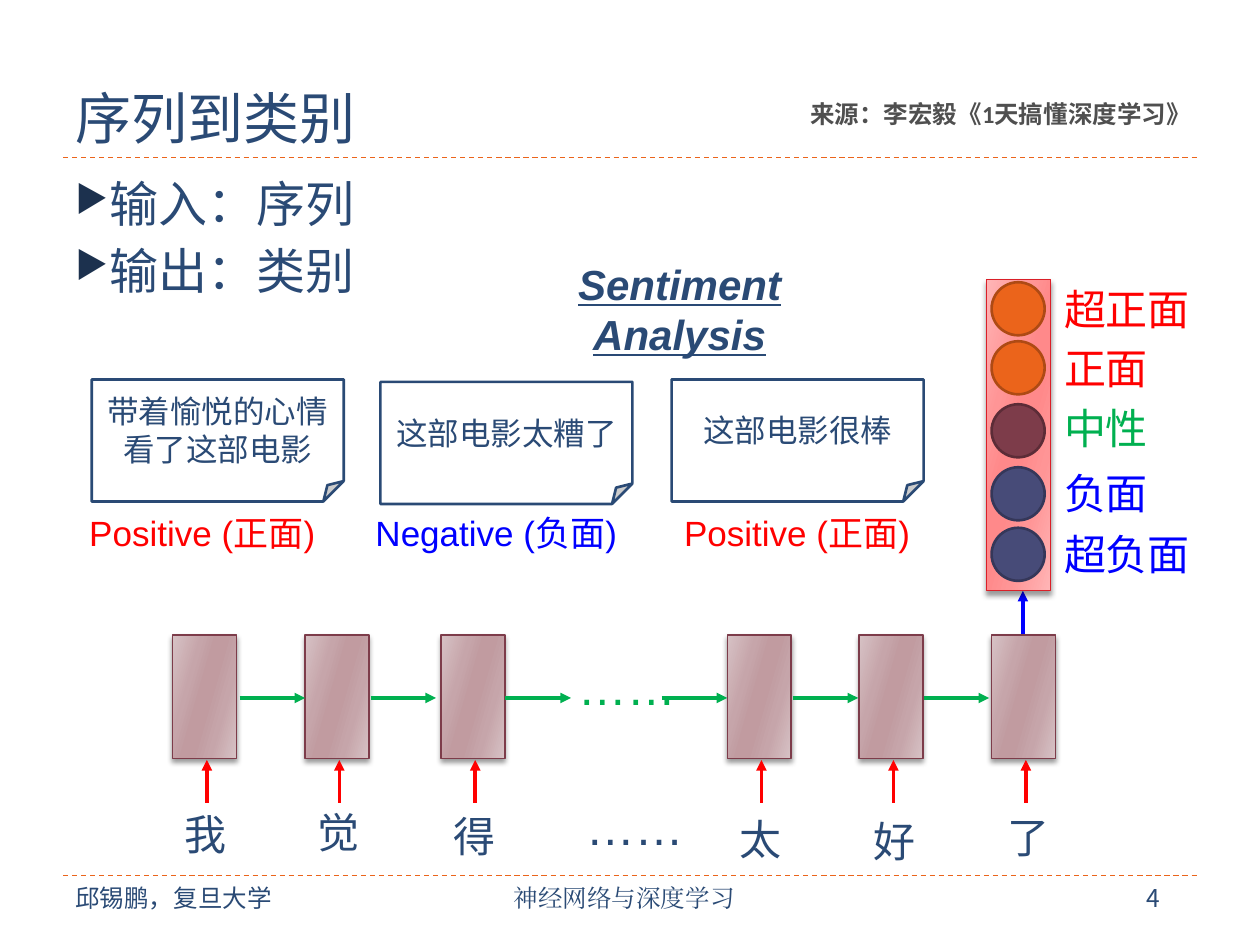
import lxml.etree
import pptx
import pptx.dml.color
import pptx.enum.dml
import pptx.enum.shapes
import pptx.enum.text
import pptx.oxml.ns
import pptx.util

Cm = pptx.util.Cm
Pt = pptx.util.Pt
RGB = pptx.dml.color.RGBColor
SHAPE = pptx.enum.shapes.MSO_SHAPE
ALIGN = pptx.enum.text.PP_ALIGN
ANCHOR = pptx.enum.text.MSO_ANCHOR
qn = pptx.oxml.ns.qn

NAVY = RGB(0x2A, 0x4A, 0x75)
BULLET = RGB(0x1C, 0x31, 0x4E)
GREY = RGB(0x4F, 0x4F, 0x4F)
WHITE = RGB(0xFF, 0xFF, 0xFF)
RED = RGB(0xFF, 0x00, 0x00)
GREEN = RGB(0x00, 0xB0, 0x50)
BLUE = RGB(0x00, 0x00, 0xFF)
ORANGE = RGB(0xEB, 0x64, 0x1B)
DARK_ORANGE = RGB(0xAE, 0x4A, 0x14)
PLUM = RGB(0x7D, 0x3C, 0x4A)
DARK_PLUM = RGB(0x5C, 0x2C, 0x37)
INDIGO = RGB(0x47, 0x4B, 0x78)
DARK_INDIGO = RGB(0x35, 0x37, 0x59)
CRIMSON = RGB(0xDA, 0x1F, 0x28)
MAUVES = RGB(0xD7, 0xC2, 0xC5), RGB(0xC6, 0xA5, 0xAA), RGB(0xC1, 0x9B, 0xA0)
PINKS = RGB(0xFF, 0xB5, 0xB6), RGB(0xFF, 0x95, 0x96), RGB(0xFF, 0x89, 0x8A)

SANS = "Noto Sans CJK SC"
CELL_W, CELL_H, CELL_TOP = 1.29, 2.49, 12.8
STEPS = [
    (3.48, "我", 3.48, 16.18),
    (6.15, "觉", 6.15, 16.13),
    (8.89, "得", 8.89, 16.21),
    (14.66, "太", 14.66, 16.28),
    (17.32, "好", 17.35, 16.31),
    (19.99, "了", 20.07, 16.23),
]
LINKS = [4.83, 7.47, 10.19, 13.34, 15.98, 18.62]
CLASSES = [
    ("超正面", RED, ORANGE, DARK_ORANGE, 5.69, 5.59),
    ("正面", RED, ORANGE, DARK_ORANGE, 6.88, 6.78),
    ("中性", GREEN, PLUM, DARK_PLUM, 8.15, 7.98),
    ("负面", BLUE, INDIGO, DARK_INDIGO, 9.42, 9.3),
    ("超负面", BLUE, INDIGO, DARK_INDIGO, 10.64, 10.52),
]
REVIEWS = [
    ("带着愉悦的心情看了这部电影", 1.85, 7.65, "Positive (正面)", 1.55, RED),
    ("这部电影太糟了", 7.67, 7.7, "Negative (负面)", 7.32, BLUE),
    ("这部电影很棒", 13.54, 7.65, "Positive (正面)", 13.54, RED),
]


def add_xml(parent, tag, **attrs):
    return lxml.etree.SubElement(parent, qn(tag), attrs)


def write(p, text, size, color=NAVY, name="Arial", **style):
    r = p.add_run()
    r.text = text
    for key, value in dict(size=Pt(size), name=name, **style).items():
        setattr(r.font, key, value)
    r.font.color.rgb = color
    add_xml(r.font._element, "a:ea", typeface=name)


def add_text(s, box, text, size, color=NAVY, name="Arial", wrap=True, align=ALIGN.LEFT, **style):
    tf = s.shapes.add_textbox(*map(Cm, box)).text_frame
    tf.word_wrap = wrap
    p = tf.paragraphs[0]
    p.alignment = align
    write(p, text, size, color, name, **style)


def add_title(s, text):
    title = s.shapes.title
    box = dict(left=1.27, top=0.43, width=22.86, height=2.74)
    for key, value in box.items():
        setattr(title, key, Cm(value))
    tf = title.text_frame
    tf.vertical_anchor = ANCHOR.BOTTOM
    p = tf.paragraphs[0]
    p.alignment = ALIGN.LEFT
    write(p, text, 32, name=SANS)


def add_bullets(s, lines):
    tf = s.shapes.add_textbox(Cm(1.27), Cm(3.38), Cm(22.86), Cm(13.72)).text_frame
    tf.word_wrap = True
    for i, line in enumerate(lines):
        p = tf.add_paragraph() if i else tf.paragraphs[0]
        pPr = p._p.get_or_add_pPr()
        pPr.set("marL", str(Cm(0.56)))
        pPr.set("indent", str(-Cm(0.56)))
        add_xml(add_xml(pPr, "a:buClr"), "a:srgbClr", val=str(BULLET))
        add_xml(pPr, "a:buSzPct", val="76000")
        add_xml(pPr, "a:buChar", char="▶")
        if i:
            p.space_before = Pt(4.5)
        write(p, line, 28, name=SANS)


def add_line(s, x1, y1, x2, y2, color, width=2, arrow=True):
    kind = pptx.enum.shapes.MSO_CONNECTOR.STRAIGHT
    c = s.shapes.add_connector(kind, Cm(x1), Cm(y1), Cm(x2), Cm(y2))
    c.line.color.rgb = color
    c.line.width = Pt(width)
    spPr = c._element.spPr
    if arrow:
        add_xml(spPr.find(qn("a:ln")), "a:tailEnd", type="triangle")
    else:
        c.line.dash_style = pptx.enum.dml.MSO_LINE.DASH
    add_xml(spPr, "a:effectLst")


def add_shape(shapes, kind, box, line, width, fill=None):
    sp = shapes.add_shape(kind, *map(Cm, box))
    sp.line.color.rgb = line
    sp.line.width = Pt(width)
    sp.shadow.inherit = False
    if fill is not None:
        sp.fill.solid()
        sp.fill.fore_color.rgb = fill
    return sp


def add_glossy_box(shapes, box, line, colors):
    sp = add_shape(shapes, SHAPE.RECTANGLE, box, line, 0.75)
    sp.fill.gradient()
    sp.fill.gradient_angle = 344
    spPr = sp._element.spPr
    stops = spPr.find(".//" + qn("a:gsLst"))
    stops.clear()
    for pos, color in zip((0, 30, 45, 55, 73, 100), colors + colors[::-1]):
        gs = add_xml(stops, "a:gs", pos=str(pos * 1000))
        add_xml(gs, "a:srgbClr", val=str(color))
    shadow = add_xml(spPr.find(qn("a:effectLst")), "a:outerShdw", blurRad=str(Pt(3)),
                     dist=str(Pt(2)), dir="5400000", rotWithShape="0")
    add_xml(add_xml(shadow, "a:srgbClr", val="000000"), "a:alpha", val="40000")


def add_review(s, text, left, top, verdict, verdict_left, color):
    sp = add_shape(s.shapes, SHAPE.FOLDED_CORNER, (left, top, 5.08, 2.46), NAVY, 1.5, WHITE)
    tf = sp.text_frame
    tf.word_wrap = True
    tf.vertical_anchor = ANCHOR.MIDDLE
    p = tf.paragraphs[0]
    p.alignment = ALIGN.CENTER
    write(p, text, 18)
    add_text(s, (verdict_left, 10.19, 5.97, 1.12), verdict, 20, color)


def add_network(s):
    for left, word, word_left, word_top in STEPS:
        add_glossy_box(s.shapes, (left, CELL_TOP, CELL_W, CELL_H), PLUM, MAUVES)
        x = left + 0.69
        add_line(s, x, 16.18, x, 15.32, RED)
        add_text(s, (word_left, word_top, 1.37, 1.27), word, 24, wrap=False)
    for x in LINKS:
        add_line(s, x, 14.07, x + 1.32, 14.07, GREEN)
    add_text(s, (11.4, 13.11, 3.07, 1.45), "……", 28, GREEN)
    add_text(s, (11.56, 15.93, 3.07, 1.45), "……", 28)
    add_line(s, 20.62, 12.78, 20.62, 11.91, BLUE)


def add_classes(s):
    shapes = s.shapes.add_group_shape().shapes
    add_glossy_box(shapes, (19.89, 5.64, CELL_W, 6.27), CRIMSON, PINKS)
    for label, color, fill, line, top, label_top in CLASSES:
        add_shape(shapes, SHAPE.OVAL, (19.99, top, 1.07, 1.07), line, 1.5, fill)
        width = 0.54 + 0.84 * len(label)
        add_text(s, (21.2, label_top, width, 1.27), label, 24, color, wrap=False)


def add_frame(s):
    for y in (3.18, 17.65):
        add_line(s, 1.27, y, 24.13, y, ORANGE, 0.75, arrow=False)
    add_text(s, (8.46, 17.68, 8.25, 1.02), "神经网络与深度学习", 14, name="Cambria", align=ALIGN.CENTER)
    add_text(s, (1.27, 17.68, 4.5, 0.86), "邱锡鹏，复旦大学", 14, name=SANS, wrap=False)
    add_text(s, (22.86, 17.68, 1.04, 0.86), "4", 14, name=SANS, wrap=False)


def main():
    prs = pptx.Presentation()
    prs.slide_width, prs.slide_height = Cm(25.4), Cm(19.05)
    s = prs.slides.add_slide(prs.slide_layouts[5])
    add_frame(s)
    add_title(s, "序列到类别")
    add_bullets(s, ["输入：序列", "输出：类别"])
    add_text(s, (9.93, 5.08, 7.54, 1.27), "Sentiment Analysis", 24,
             align=ALIGN.CENTER, bold=True, italic=True, underline=True)
    add_network(s)
    add_classes(s)
    for review in REVIEWS:
        add_review(s, *review)
    add_text(s, (16.08, 1.88, 8.26, 0.86), "来源：李宏毅《1天搞懂深度学习》", 14, GREY, "Calibri", bold=True)
    prs.save("out.pptx")


if __name__ == "__main__":
    main()
